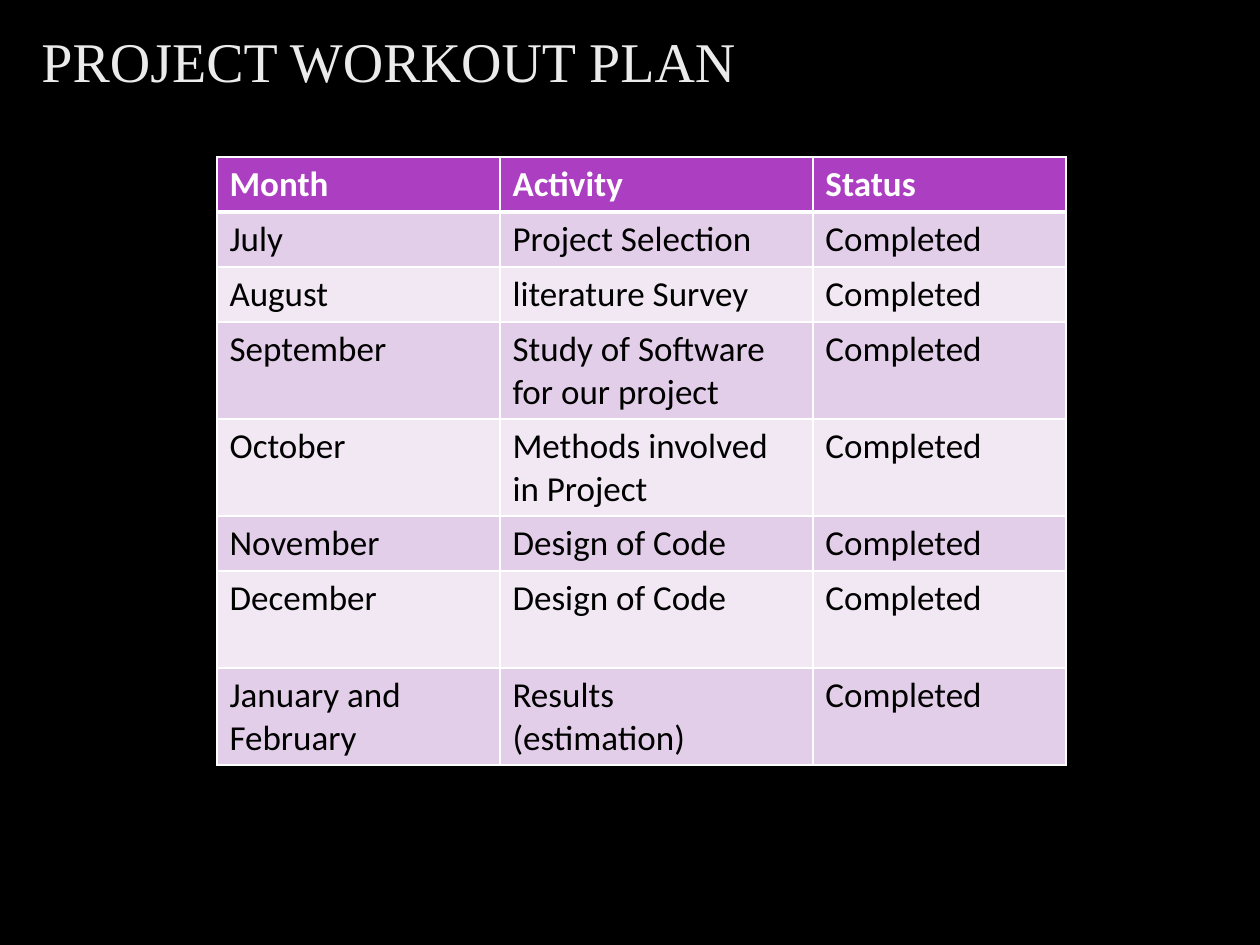
from lxml.etree import SubElement
from pptx import Presentation
from pptx.dml.color import RGBColor
from pptx.oxml.ns import qn
from pptx.util import Emu, Pt

SCALE = 914400 / 126


def px(n):
    return Emu(round(n * SCALE))


def style(target, color):
    if hasattr(target, "solid"):
        target.solid()
        target = target.fore_color
    target.rgb = RGBColor.from_string(color)


prs = Presentation()
prs.slide_width, prs.slide_height = px(1260), px(945)
s = prs.slides.add_slide(prs.slide_layouts[6])
style(s.background.fill, "000000")

title = s.shapes.add_textbox(px(29), px(20), px(1241), px(403))
tf = title.text_frame
tf.word_wrap = True
r = tf.paragraphs[0].add_run()
r.text = "PROJECT WORKOUT PLAN"
r.font.size = Pt(32)
r.font.name = "Times New Roman"
style(r.font.color, "EBEBEB")

rows = [
    ("Month", "Activity", "Status"),
    ("July", "Project Selection", "Completed"),
    ("August", "literature Survey", "Completed"),
    ("September", "Study of Software\nfor our project", "Completed"),
    ("October", "Methods involved\nin Project", "Completed"),
    ("November", "Design of Code", "Completed"),
    ("December", "Design of Code", "Completed"),
    ("January and February", "Results\n(estimation)", "Completed"),
]
widths = [283, 313, 253]
heights = [55, 55, 55, 97, 97, 55, 97, 97]

frame = s.shapes.add_table(len(rows), len(widths), px(217), px(157),
                           px(sum(widths)), px(sum(heights)))
table = frame.table
for column, width in zip(table.columns, widths):
    column.width = px(width)

for i, (row, height) in enumerate(zip(rows, heights)):
    table.rows[i].height = px(height)
    header = i == 0
    fill = "AC3EC1" if header else ("F1E8F4", "E3CEE9")[i % 2]
    for j, text in enumerate(row):
        cell = table.cell(i, j)
        style(cell.fill, fill)
        tf = cell.text_frame
        for k, line in enumerate(text.split("\n")):
            p = tf.add_paragraph() if k else tf.paragraphs[0]
            r = p.add_run()
            r.text = line
            r.font.size = Pt(20)
            r.font.name = "Calibri"
            r.font.bold = header
            style(r.font.color, "FFFFFF" if header else "000000")
        tcPr = cell._tc.get_or_add_tcPr()
        for n, side in enumerate("LRTB"):
            thick = (header and side == "B") or (i == 1 and side == "T")
            ln = SubElement(tcPr, qn(f"a:ln{side}"), w=str(Pt(3 if thick else 1)))
            SubElement(SubElement(ln, qn("a:solidFill")), qn("a:srgbClr"), val="FFFFFF")
            tcPr.insert(n, ln)

prs.save("out.pptx")
